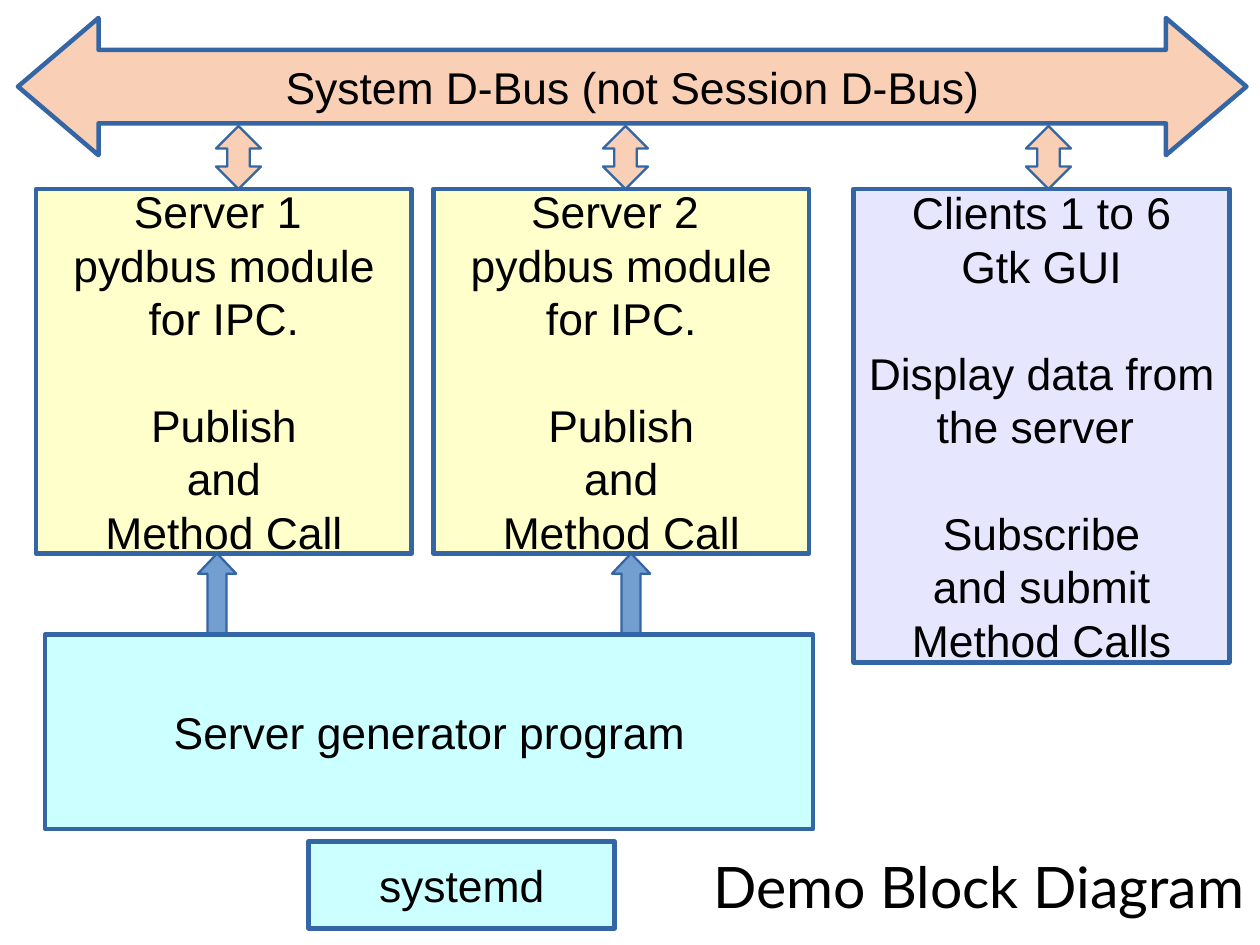
from pptx import Presentation
from pptx.dml.color import RGBColor
from pptx.enum.shapes import MSO_SHAPE as SHAPE
from pptx.enum.text import MSO_ANCHOR as ANCHOR, MSO_AUTO_SIZE as AUTO_SIZE, PP_ALIGN as ALIGN
from pptx.util import Pt

PX = 3600  # 100 px to the centimetre
SLIDE_SIZE = (2800, 2100)
BLACK = RGBColor(0x00, 0x00, 0x00)
OUTLINE = RGBColor(0x34, 0x65, 0xA4)
PEACH = RGBColor(0xF9, 0xCF, 0xB5)
BLUE = RGBColor(0x72, 0x9F, 0xCF)
YELLOW = RGBColor(0xFF, 0xFF, 0xCC)
LAVENDER = RGBColor(0xE6, 0xE6, 0xFF)
CYAN = RGBColor(0xCC, 0xFF, 0xFF)
BODY_SIZE, TITLE_SIZE = 28, 36
BLANK_LINE = Pt(33.7)
THICK, THIN = Pt(2.83), Pt(1.42)

BUS = (40, 40, 2730, 305)
COLUMN_TOP, COLUMN_WIDTH, SERVER_HEIGHT = 420, 835, 810
GENERATOR = (100, 1410, 1707, 432)
LINK_WIDTH, LINK_HEIGHT = 100, 140
FEED_WIDTH = 85


def emu(box):
    return [length * PX for length in box]


def write(frame, groups, font, size, align=ALIGN.CENTER):
    """Write groups of lines, with the height of one line between groups."""
    frame.text = "\n".join(line for group in groups for line in group)
    starts, count = set(), 0
    for group in groups[:-1]:
        count += len(group)
        starts.add(count)
    for index, paragraph in enumerate(frame.paragraphs):
        paragraph.alignment = align
        if index in starts:
            paragraph.space_before = BLANK_LINE
        for run in paragraph.runs:
            run.font.name = font
            run.font.size = Pt(size)
            run.font.color.rgb = BLACK


def add_block(slide, kind, box, fill, line_width=THICK, adjustments=()):
    block = slide.shapes.add_shape(kind, *emu(box))
    block.shadow.inherit = False
    block.fill.solid()
    block.fill.fore_color.rgb = fill
    block.line.color.rgb = OUTLINE
    block.line.width = line_width
    for index, value in enumerate(adjustments):
        block.adjustments[index] = value
    return block


def label(block, groups, wrap=False):
    frame = block.text_frame
    frame.word_wrap = wrap
    frame.vertical_anchor = ANCHOR.MIDDLE
    frame.margin_left = frame.margin_right = 30 * PX
    frame.margin_top = frame.margin_bottom = 18 * PX
    write(frame, groups, "Arial", BODY_SIZE)


def add_bus(slide, box):
    bus = add_block(slide, SHAPE.LEFT_RIGHT_ARROW, box, PEACH, adjustments=(0.536, 0.587))
    label(bus, [["System D-Bus (not Session D-Bus)"]])


def add_column(slide, box, fill, groups, link_offset):
    """A process box with its two-way link up to the bus."""
    left, top, _, _ = box
    label(add_block(slide, SHAPE.RECTANGLE, box, fill), groups, wrap=True)
    link = (left + link_offset, top - LINK_HEIGHT, LINK_WIDTH, LINK_HEIGHT)
    add_block(slide, SHAPE.UP_DOWN_ARROW, link, PEACH, THIN, (0.279, 0.5))


def add_server(slide, number, left, link_offset, feed_offset):
    groups = [[f"Server {number} ", "pydbus module for IPC."],
              ["Publish", "and", "Method Call"]]
    box = (left, COLUMN_TOP, COLUMN_WIDTH, SERVER_HEIGHT)
    add_column(slide, box, YELLOW, groups, link_offset)
    bottom = COLUMN_TOP + SERVER_HEIGHT
    feed = (left + feed_offset, bottom, FEED_WIDTH, GENERATOR[1] - bottom)
    add_block(slide, SHAPE.UP_ARROW, feed, BLUE, THIN, (0.5, 0.529))


def add_clients(slide, box):
    groups = [["Clients 1 to 6", "Gtk GUI"],
              ["Display data from the server "],
              ["Subscribe", "and submit Method Calls"]]
    add_column(slide, box, LAVENDER, groups, link_offset=383)


def add_program(slide, box, name):
    label(add_block(slide, SHAPE.RECTANGLE, box, CYAN), [[name]])


def add_title(slide, box):
    frame = slide.shapes.add_textbox(*emu(box)).text_frame
    frame.word_wrap = True
    frame.auto_size = AUTO_SIZE.SHAPE_TO_FIT_TEXT
    frame.vertical_anchor = ANCHOR.MIDDLE
    frame.margin_left = frame.margin_right = frame.margin_top = frame.margin_bottom = 0
    write(frame, [["Demo Block Diagram"]], "Lato", TITLE_SIZE, ALIGN.RIGHT)


def main():
    deck = Presentation()
    deck.slide_width, deck.slide_height = emu(SLIDE_SIZE)
    slide = deck.slides.add_slide(deck.slide_layouts[6])
    add_bus(slide, BUS)
    add_server(slide, 1, left=80, link_offset=400, feed_offset=360)
    add_server(slide, 2, left=963, link_offset=377, feed_offset=397)
    add_clients(slide, (1897, COLUMN_TOP, COLUMN_WIDTH, 1052))
    add_program(slide, GENERATOR, "Server generator program")
    add_program(slide, (686, 1870, 680, 193), "systemd")
    add_title(slide, (1492, 1880, 1273, 178))
    deck.save("out.pptx")


if __name__ == "__main__":
    main()
